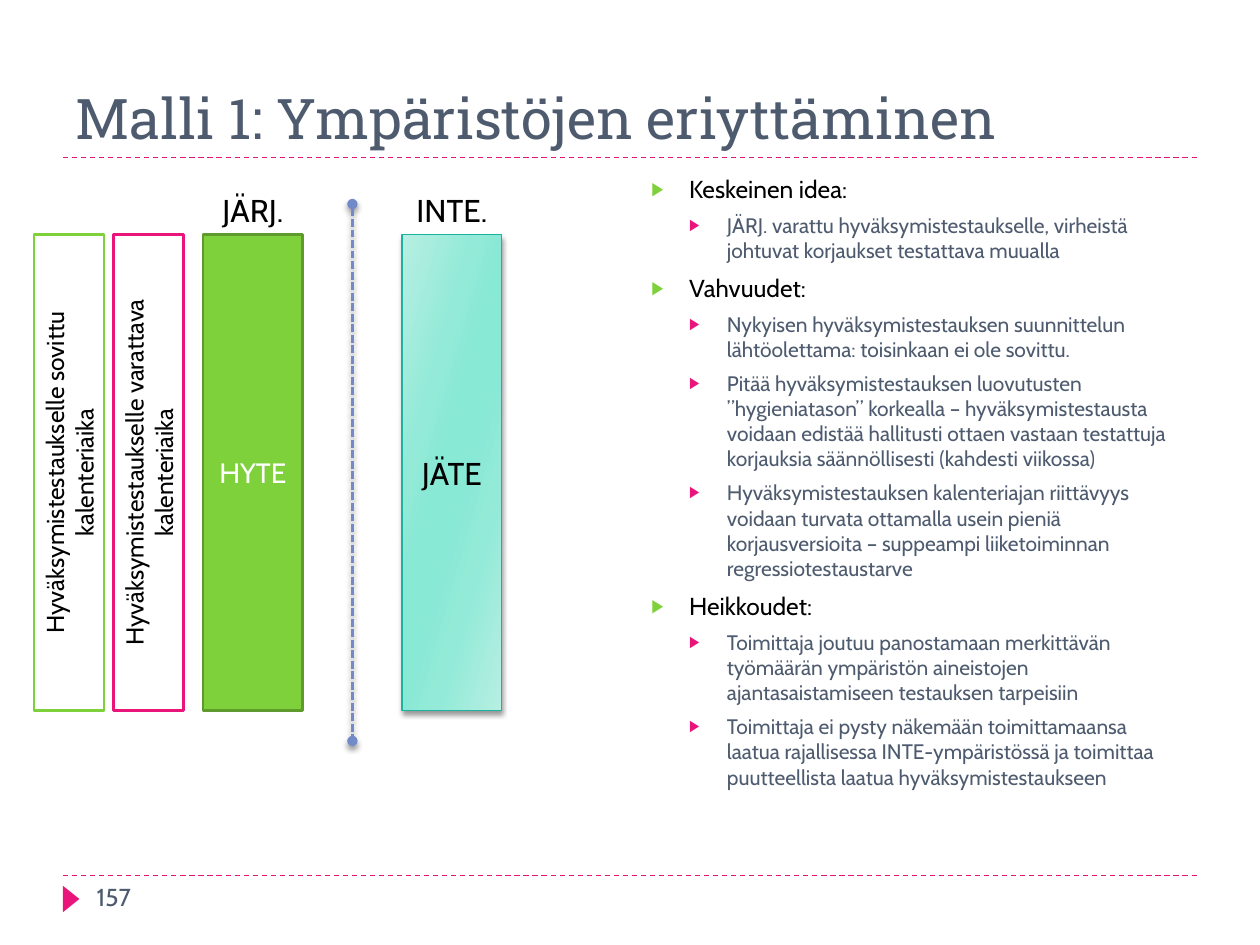
import pptx
import pptx.util
import pptx.dml.color
import pptx.enum.dml
import pptx.enum.shapes
import pptx.enum.text
import pptx.oxml
import pptx.oxml.ns

Pt = pptx.util.Pt
RGB = pptx.dml.color.RGBColor
SHAPE = pptx.enum.shapes.MSO_SHAPE
ANCHOR = pptx.enum.text.MSO_ANCHOR
ALIGN = pptx.enum.text.PP_ALIGN
DASH = pptx.enum.dml.MSO_LINE

BLACK = RGB(0x00, 0x00, 0x00)
WHITE = RGB(0xFF, 0xFF, 0xFF)
SLATE = RGB(0x4E, 0x5B, 0x6F)
GREEN = RGB(0x7F, 0xD1, 0x3B)
MOSS = RGB(0x5E, 0x9B, 0x2C)
PINK = RGB(0xEA, 0x15, 0x7A)
TEAL = RGB(0x1A, 0xB3, 0x9F)
BLUE = RGB(0x73, 0x8A, 0xC8)
PALE = RGB(0xB7, 0xEF, 0xE2)
MINT = RGB(0x94, 0xEA, 0xD8)
AQUA = RGB(0x88, 0xE9, 0xD5)

FADE = [(0, PALE), (30, MINT), (45, AQUA), (55, AQUA), (73, MINT), (100, PALE)]
STYLES = [(14, BLACK, GREEN, 6), (12, SLATE, PINK, 5)]
STEP = 21.6
TOP, TALL, WIDE = 134, 272, 57
LEFT, RIGHT = 116, 229.7

IDEAS = [
    ("Keskeinen idea:", [
        "JÄRJ. varattu hyväksymistestaukselle, virheistä johtuvat korjaukset testattava muualla",
    ]),
    ("Vahvuudet:", [
        "Nykyisen hyväksymistestauksen suunnittelun lähtöolettama: toisinkaan ei ole sovittu.",
        "Pitää hyväksymistestauksen luovutusten ”hygieniatason” korkealla – hyväksymistestausta "
        "voidaan edistää hallitusti ottaen vastaan testattuja korjauksia säännöllisesti "
        "(kahdesti viikossa)",
        "Hyväksymistestauksen kalenteriajan riittävyys voidaan turvata ottamalla usein pieniä "
        "korjausversioita – suppeampi liiketoiminnan regressiotestaustarve",
    ]),
    ("Heikkoudet:", [
        "Toimittaja joutuu panostamaan merkittävän työmäärän ympäristön aineistojen "
        "ajantasaistamiseen testauksen tarpeisiin",
        "Toimittaja ei pysty näkemään toimittamaansa laatua rajallisessa INTE-ympäristössä ja "
        "toimittaa puutteellista laatua hyväksymistestaukseen",
    ]),
]


def node(tag, body="", **attrs):
    """Make a drawing element from a tag, inner markup and attributes."""
    names = "".join(f' {key}="{val}"' for key, val in attrs.items())
    space = pptx.oxml.ns.nsdecls("a")
    return pptx.oxml.parse_xml(f"<a:{tag} {space}{names}>{body}</a:{tag}>")


def tint(color, body=""):
    """Return the markup of a colour."""
    return f'<a:srgbClr val="{color}">{body}</a:srgbClr>'


def effect(item, shade):
    """Give an item a soft drop shadow, or none."""
    cast = ""
    if shade:
        cast = ('<a:outerShdw blurRad="38100" dist="25400" dir="5400000" rotWithShape="0">'
                + tint(BLACK, '<a:alpha val="40000"/>') + "</a:outerShdw>")
    props = item._element.spPr
    for old in props.findall(pptx.oxml.ns.qn("a:effectLst")):
        props.remove(old)
    props.append(node("effectLst", cast))


def write(para, text, size, color, face="Cabin"):
    """Add one formatted run to a paragraph."""
    run = para.add_run()
    run.text = text
    font = run.font
    font.name, font.size, font.color.rgb = face, Pt(size), color


def place(item, left, top, width, height):
    """Move and size an item."""
    item.left, item.top = Pt(left), Pt(top)
    item.width, item.height = Pt(width), Pt(height)


def title(slide, text):
    """Fill the title placeholder."""
    head = slide.shapes.title
    place(head, 36, 18, 648, 72)
    frame = head.text_frame
    frame.auto_size = pptx.enum.text.MSO_AUTO_SIZE.NONE
    frame.vertical_anchor = ANCHOR.BOTTOM
    para = frame.paragraphs[0]
    para.alignment = ALIGN.LEFT
    write(para, text, 32, SLATE, "Roboto Slab")


def bullet(para, text, level, first):
    """Write one bulleted paragraph at a level."""
    size, color, mark, gap = STYLES[level]
    para.level = level
    props = para._p.get_or_add_pPr()
    props.set("marL", str(Pt(STEP * (level + 1))))
    props.set("indent", str(-Pt(STEP)))
    props.append(node("buClr", tint(mark)))
    props.append(node("buSzPct", val="76000"))
    props.append(node("buChar", char="▶"))
    para.space_before = Pt(0 if first else gap)
    write(para, text, size, color)


def ideas(slide):
    """Fill the body placeholder with the two-level list."""
    body = slide.placeholders[1]
    place(body, 365, 95.8, 318.2, 388.8)
    frame = body.text_frame
    frame.auto_size = pptx.enum.text.MSO_AUTO_SIZE.NONE
    rows = []
    for topic, points in IDEAS:
        rows.append((topic, 0))
        rows.extend((point, 1) for point in points)
    for pos, (text, level) in enumerate(rows):
        para = frame.add_paragraph() if pos else frame.paragraphs[0]
        bullet(para, text, level, pos == 0)


def block(slide, kind, box, fill, line=None, width=1.5, turn=0):
    """Draw a plain filled shape."""
    shape = slide.shapes.add_shape(kind, *map(Pt, box))
    shape.rotation = turn
    shape.fill.solid()
    shape.fill.fore_color.rgb = fill
    if line is None:
        shape.line.fill.background()
    else:
        shape.line.color.rgb, shape.line.width = line, Pt(width)
    effect(shape, False)
    return shape


def center(shape, text, size, color):
    """Write centred text in a shape."""
    frame = shape.text_frame
    frame.word_wrap = True
    frame.vertical_anchor = ANCHOR.MIDDLE
    para = frame.paragraphs[0]
    para.alignment = ALIGN.CENTER
    write(para, text, size, color)


def fade(shape):
    """Swap the solid fill for the slanted gradient."""
    stops = "".join(f'<a:gs pos="{pos * 1000}">{tint(color)}</a:gs>' for pos, color in FADE)
    body = f'<a:gsLst>{stops}</a:gsLst><a:lin ang="960000" scaled="0"/>'
    props = shape._element.spPr
    props.replace(props.find(pptx.oxml.ns.qn("a:solidFill")), node("gradFill", body))


def rule(slide, ends, color, width, dash, dots=False):
    """Draw a dashed line, with round ends and shadow on demand."""
    kind = pptx.enum.shapes.MSO_CONNECTOR.STRAIGHT
    line = slide.shapes.add_connector(kind, *map(Pt, ends))
    line.line.color.rgb, line.line.width = color, Pt(width)
    line.line.dash_style = dash
    if dots:
        for tag in ("headEnd", "tailEnd"):
            line.line._get_or_add_ln().append(node(tag, type="oval"))
    effect(line, dots)


def label(slide, box, text, size, color, align):
    """Add a text box with one line of text."""
    frame = slide.shapes.add_textbox(*map(Pt, box)).text_frame
    frame.word_wrap = True
    if align == ALIGN.CENTER:
        frame.margin_left = frame.margin_right = 0
    para = frame.paragraphs[0]
    para.alignment = align
    write(para, text, size, color)


def main():
    """Build the slide and save it."""
    deck = pptx.Presentation()
    deck.slide_width, deck.slide_height = Pt(720), Pt(540)
    slide = deck.slides.add_slide(deck.slide_layouts[1])
    for high in (500.4, 90):
        rule(slide, (36, high, 684, high), PINK, 0.75, DASH.DASH)
    block(slide, SHAPE.ISOSCELES_TRIANGLE, (33.1, 509, 15.1, 9.4), PINK, turn=90)
    title(slide, "Malli 1: Ympäristöjen eriyttäminen")
    ideas(slide)
    for left, color, word in ((-96.5, GREEN, "sovittu"), (-51.1, PINK, "varattava")):
        bar = block(slide, SHAPE.RECTANGLE, (left, 250, TALL, 40), WHITE, color, turn=270)
        center(bar, f"Hyväksymistestaukselle {word} kalenteriaika", 14, BLACK)
    hyte = block(slide, SHAPE.RECTANGLE, (LEFT, TOP, WIDE, TALL), GREEN, MOSS)
    center(hyte, "HYTE", 16, WHITE)
    jäte = block(slide, SHAPE.RECTANGLE, (RIGHT, TOP, WIDE, TALL), AQUA, TEAL, 0.75)
    fade(jäte)
    effect(jäte, True)
    center(jäte, "JÄTE", 18, BLACK)
    for left, text in ((LEFT, "JÄRJ."), (RIGHT, "INTE.")):
        label(slide, (left, 105.8, WIDE, 28.8), text, 18, BLACK, ALIGN.CENTER)
    rule(slide, (201.4, 116.6, 201.4, 423.4), BLUE, 1.5, DASH.SQUARE_DOT, True)
    label(slide, (48.2, 500.4, 156.2, 28.8), "157", 14, SLATE, ALIGN.LEFT)
    deck.save("out.pptx")


if __name__ == "__main__":
    main()
